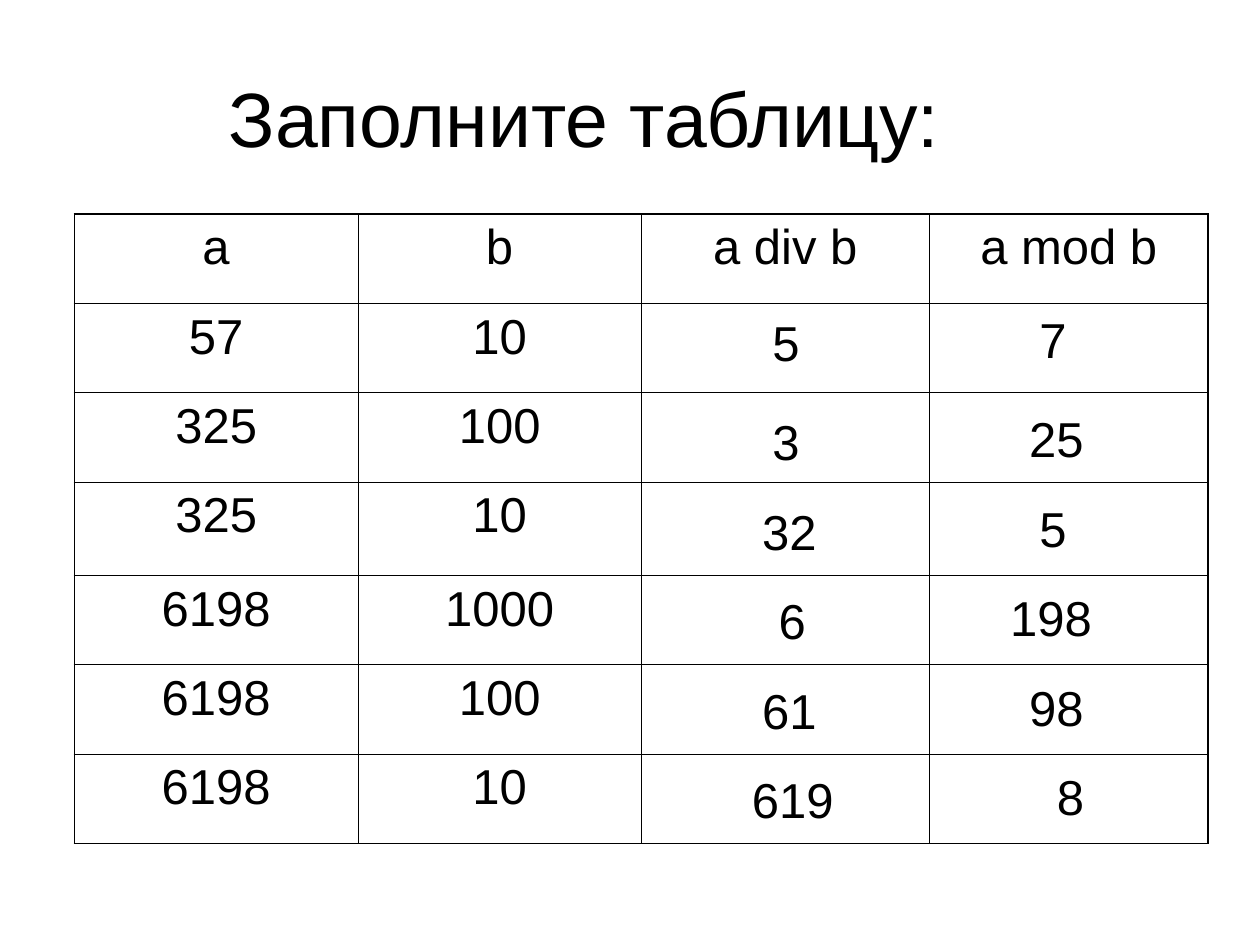
from dataclasses import dataclass

from lxml.etree import SubElement as Sub
from pptx import Presentation
from pptx.dml.color import RGBColor
from pptx.enum.text import MSO_ANCHOR as Anchor, MSO_AUTO_SIZE as Fit, PP_ALIGN as Align
from pptx.oxml.ns import qn
from pptx.util import Pt


def color(code):
    return RGBColor.from_string(code)


@dataclass
class Sheet:
    slide: object
    face: str = "Arial"
    ink: str = "000000"
    size: int = 28
    thin: float = 0.45
    thick: float = 1.08

    def label(self, frame, text, size=None, align=Align.LEFT):
        par = frame.paragraphs[0]
        par.text = text
        par.alignment = align
        style = {"name": self.face, "size": Pt(size or self.size), "bold": False}
        for key, value in style.items():
            setattr(par.font, key, value)
        par.font.color.rgb = color(self.ink)

    def text(self, text, box, size=None, align=Align.LEFT, **form):
        frame = self.slide.shapes.add_textbox(*map(Pt, box)).text_frame
        for key, value in form.items():
            setattr(frame, key, value)
        self.label(frame, text, size, align)

    def edge(self, cell, sides):
        props = cell._tc.get_or_add_tcPr()
        for side, width in sides.items():
            line = Sub(props, qn("a:ln" + side), w=str(int(Pt(width))))
            fill = Sub(line, qn("a:solidFill"))
            Sub(fill, qn("a:srgbClr"), val=self.ink)

    def table(self, rows, spot, wide, high):
        size = sum(wide), sum(high)
        grid = self.slide.shapes.add_table(
            len(high), len(wide), *map(Pt, spot + size)).table
        grid.first_row = grid.horz_banding = False
        for col, width in zip(grid.columns, wide):
            col.width = Pt(width)
        for row, height in zip(grid.rows, high):
            row.height = Pt(height)
        end, base = len(wide) - 1, len(high) - 1
        for y, row in enumerate(rows):
            for x, text in enumerate(row):
                cell = grid.cell(y, x)
                outer = {"L": x == 0, "R": x == end, "T": y == 0, "B": y == base}
                self.edge(cell, {side: self.thick if out else self.thin
                                 for side, out in outer.items()})
                cell.fill.background()
                cell.margin_left = cell.margin_right = Pt(7.2)
                self.label(cell.text_frame, text, align=Align.CENTER)

    def answer(self, text, left, top):
        width = 29.5 + 15.8 * (len(text) - 1)
        self.text(text, (left, top, width, 41), word_wrap=False,
                  auto_size=Fit.SHAPE_TO_FIT_TEXT)


def main():
    deck = Presentation()
    deck.slide_width, deck.slide_height = Pt(720), Pt(540)
    sheet = Sheet(deck.slides.add_slide(deck.slide_layouts[6]))

    # Title
    sheet.text("Заполните таблицу:", (36, 21.6, 596, 90), 44, Align.CENTER,
               word_wrap=True, vertical_anchor=Anchor.MIDDLE)

    # Table with two columns left to fill in
    pairs = [("57", "10"), ("325", "100"), ("325", "10"),
             ("6198", "1000"), ("6198", "100"), ("6198", "10")]
    rows = [("а", "b", "а div b", "а mod b")] + [pair + ("", "") for pair in pairs]
    sheet.table(rows, (42.5, 122.4), (162, 162, 164.4, 159.6),
                [51.05] * 3 + [53.4] + [51.05] * 3)

    # Answers: top of the row, then text and left edge for div and mod
    marks = [
        (175, ("5", 434.2), ("7", 586.8)),
        (231.8, ("3", 434.2), ("25", 581)),
        (283, ("32", 428.4), ("5", 586.8)),
        (334.1, ("6", 437.8), ("198", 570.2)),
        (385.2, ("61", 428.4), ("98", 581)),
        (436.3, ("619", 422.6), ("8", 596.9)),
    ]
    for top, div, mod in marks:
        sheet.answer(*div, top)
        sheet.answer(*mod, top - 1.7)

    deck.save("out.pptx")


if __name__ == "__main__":
    main()
